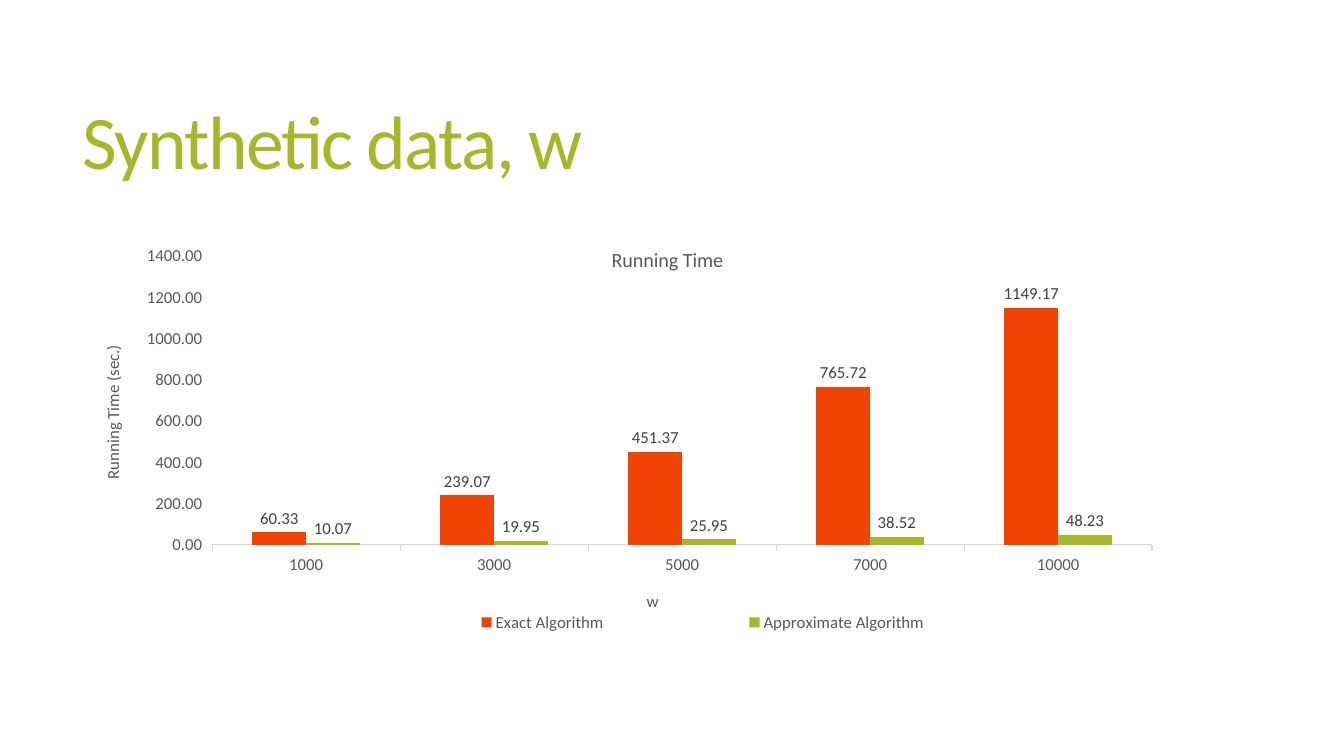
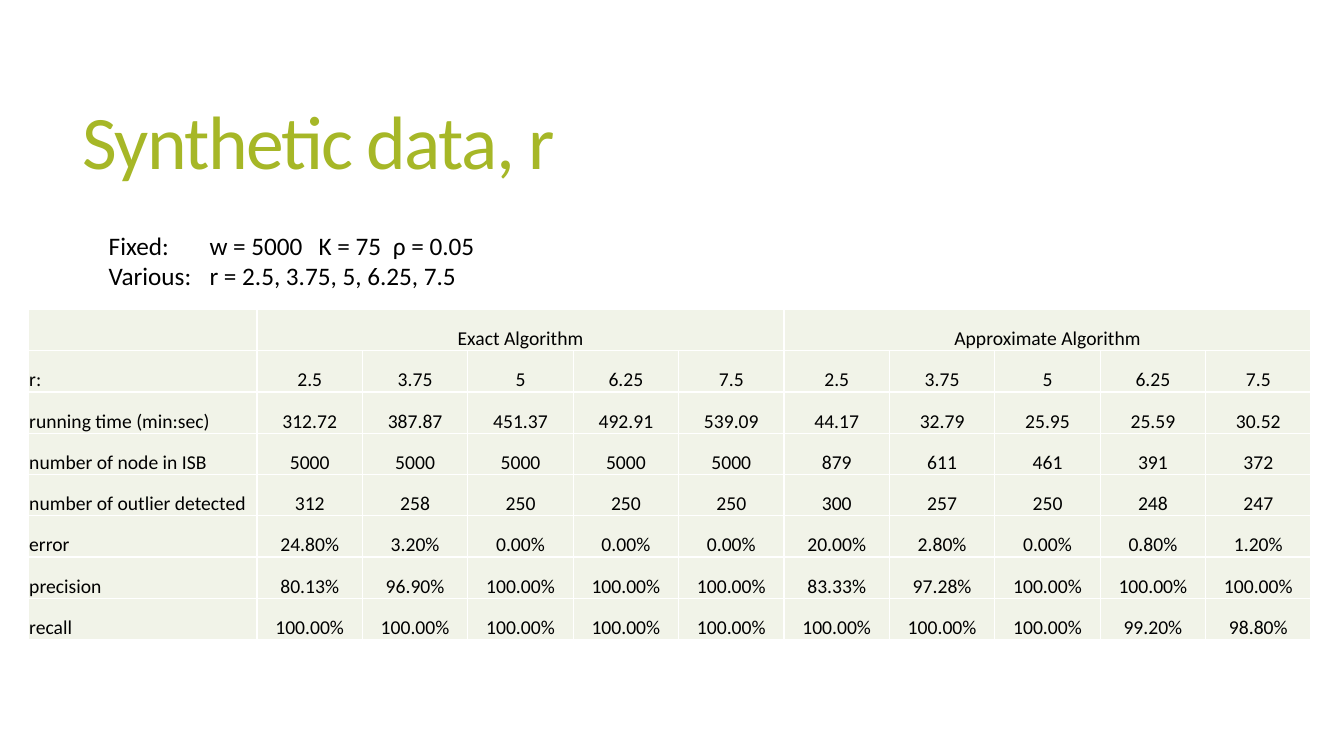
"""Build two slides on synthetic data results: a running time chart and a result table."""
from pptx import Presentation
from pptx.chart.data import CategoryChartData
from pptx.dml.color import RGBColor
from pptx.enum.chart import XL_CHART_TYPE, XL_LABEL_POSITION, XL_LEGEND_POSITION
from pptx.enum.text import MSO_ANCHOR, PP_ALIGN
from pptx.oxml import parse_xml
from pptx.oxml.ns import nsdecls, qn
from pptx.util import Pt

COLUMNS = XL_CHART_TYPE.COLUMN_CLUSTERED
OUTSIDE_END = XL_LABEL_POSITION.OUTSIDE_END
LEGEND_BOTTOM = XL_LEGEND_POSITION.BOTTOM
MIDDLE, BOTTOM = MSO_ANCHOR.MIDDLE, MSO_ANCHOR.BOTTOM
LEFT, CENTER = PP_ALIGN.LEFT, PP_ALIGN.CENTER

GREEN = RGBColor(0xA6, 0xB7, 0x27)
ORANGE = RGBColor(0xF0, 0x43, 0x04)
PALE = RGBColor(0xF1, 0xF3, 0xE8)
BLACK = RGBColor(0, 0, 0)
DARK_GRAY = RGBColor(0x40, 0x40, 0x40)
GRAY = RGBColor(0x59, 0x59, 0x59)
LIGHT_GRAY = RGBColor(0xD9, 0xD9, 0xD9)
FONT = "Calibri"
ALGORITHMS = ["Exact Algorithm", "Approximate Algorithm"]


def style(font, size, color):
    for name, value in {"name": FONT, "size": Pt(size), "bold": False}.items():
        setattr(font, name, value)
    font.color.rgb = color


def place(element, inner=False, **fractions):
    for old in element.findall(qn("c:layout")):
        element.remove(old)
    parts = '<c:layoutTarget val="inner"/>' if inner else ""
    parts += "".join(f'<c:{axis}Mode val="edge"/>' for axis in "xy")
    parts += "".join(f'<c:{key} val="{value}"/>' for key, value in fractions.items())
    layout = parse_xml(f'<c:layout {nsdecls("c")}><c:manualLayout>{parts}'
                       "</c:manualLayout></c:layout>")
    overlay = element.find(qn("c:overlay"))
    element.insert(0 if overlay is None else element.index(overlay), layout)


deck = Presentation()
deck.slide_width, deck.slide_height = Pt(960), Pt(540)

pages = []
for title in ["Synthetic data, w", "Synthetic data, r"]:
    page = deck.slides.add_slide(deck.slide_layouts[6])
    frame = page.shapes.add_textbox(Pt(52), Pt(39.6), Pt(848), Pt(130.4)).text_frame
    frame.word_wrap = True
    frame.vertical_anchor = MIDDLE
    para = frame.paragraphs[0]
    para.line_spacing = 0.85
    span = para.add_run()
    span.text = title
    style(span.font, 54, GREEN)
    span.font._element.set("spc", "-120")
    pages.append(page)
chart_page, table_page = pages

data = CategoryChartData(number_format="0.00")
data.categories = ["1000", "3000", "5000", "7000", "10000"]
TIMES = [
    [60.33, 239.07, 451.37, 765.72, 1149.17],
    [10.07, 19.95, 25.95, 38.52, 48.23],
]
for name, values in zip(ALGORITHMS, TIMES):
    data.add_series(name, values)
chart = chart_page.shapes.add_chart(
    COLUMNS, Pt(53.3), Pt(158.4), Pt(846.7), Pt(296.6), data).chart
style(chart.font, 12, BLACK)
place(chart._chartSpace.chart.plotArea, inner=True, x=0.116, y=0.083, w=0.793, h=0.695)

category_axis, value_axis = chart.category_axis, chart.value_axis
chart.has_title = True
TITLES = [
    (chart.chart_title, "Running Time", 14.4, 0.45, 0.05),
    (category_axis.axis_title, "w", 12, 0.48, 0.88),
    (value_axis.axis_title, "Running Time (sec.)", 12, 0.02, 0.29),
]
for heading, text, size, x, y in TITLES:
    span = heading.text_frame.paragraphs[0].add_run()
    span.text = text
    style(span.font, size, GRAY)
    place(heading._element, x=x, y=y)

for axis in (category_axis, value_axis):
    axis.has_major_gridlines = False
    style(axis.tick_labels.font, 12, GRAY)
category_axis.format.line.color.rgb = LIGHT_GRAY
category_axis.format.line.width = Pt(0.75)
value_axis.format.line.fill.background()
for name, value in {"minimum_scale": 0, "maximum_scale": 1400, "major_unit": 200}.items():
    setattr(value_axis, name, value)
value_axis.tick_labels.number_format = "0.00"
value_axis.tick_labels.number_format_is_linked = False

plot = chart.plots[0]
for name, value in {"gap_width": 150, "overlap": 0, "vary_by_categories": False}.items():
    setattr(plot, name, value)
LABEL_FORMAT = {
    "show_value": True,
    "position": OUTSIDE_END,
    "number_format": "0.00",
    "number_format_is_linked": False,
}
for series, color in zip(plot.series, [ORANGE, GREEN]):
    series.format.fill.solid()
    series.format.fill.fore_color.rgb = color
    style(series.data_labels.font, 12, DARK_GRAY)
    for name, value in LABEL_FORMAT.items():
        setattr(series.data_labels, name, value)

chart.has_legend = True
chart.legend.position = LEGEND_BOTTOM
chart.legend.include_in_layout = False
style(chart.legend.font, 12, GRAY)
place(chart.legend._element, x=0.225, y=0.93, w=0.61, h=0.07)

SETTINGS = [
    "\tFixed:\tw = 5000\tK = 75\tρ = 0.05",
    "\tVarious:\tr = 2.5, 3.75, 5, 6.25, 7.5",
]
frame = table_page.shapes.add_textbox(Pt(34.6), Pt(160.6), Pt(848), Pt(51)).text_frame
frame.word_wrap = True
for index, text in enumerate(SETTINGS):
    para = frame.add_paragraph() if index else frame.paragraphs[0]
    stops = "".join(f'<a:tab pos="{Pt(stop)}" algn="l"/>' for stop in (36, 108, 186, 239))
    para._p.get_or_add_pPr().append(
        parse_xml(f'<a:tabLst {nsdecls("a")}>{stops}</a:tabLst>'))
    span = para.add_run()
    span.text = text
    style(span.font, 18, BLACK)

RADII = ["2.5", "3.75", "5", "6.25", "7.5"]
ROWS = [
    ["", ALGORITHMS[0], "", "", "", "", ALGORITHMS[1], "", "", "", ""],
    ["r:"] + RADII * 2,
    ["running time (min:sec)", "312.72", "387.87", "451.37", "492.91", "539.09",
     "44.17", "32.79", "25.95", "25.59", "30.52"],
    ["number of node in ISB"] + ["5000"] * 5 + ["879", "611", "461", "391", "372"],
    ["number of outlier detected", "312", "258", "250", "250", "250",
     "300", "257", "250", "248", "247"],
    ["error", "24.80%", "3.20%", "0.00%", "0.00%", "0.00%",
     "20.00%", "2.80%", "0.00%", "0.80%", "1.20%"],
    ["precision", "80.13%", "96.90%", "100.00%", "100.00%", "100.00%",
     "83.33%", "97.28%", "100.00%", "100.00%", "100.00%"],
    ["recall"] + ["100.00%"] * 8 + ["99.20%", "98.80%"],
]
CELL_FORMAT = {
    "vertical_anchor": BOTTOM,
    "margin_left": Pt(0.7),
    "margin_top": Pt(0.7),
    "margin_right": Pt(0.7),
    "margin_bottom": Pt(0),
}
table = table_page.shapes.add_table(
    len(ROWS), len(ROWS[0]), Pt(20.2), Pt(221), Pt(916.4), Pt(236)).table
table.first_row = table.horz_banding = False
for index, column in enumerate(table.columns):
    column.width = Pt(75.3 if index else 163.4)
for row in table.rows:
    row.height = Pt(29.5)
for start in (1, 6):
    table.cell(0, start).merge(table.cell(0, start + 4))

for row_index, values in enumerate(ROWS):
    for column_index, text in enumerate(values):
        cell = table.cell(row_index, column_index)
        for name, value in CELL_FORMAT.items():
            setattr(cell, name, value)
        cell.fill.solid()
        cell.fill.fore_color.rgb = PALE
        for position, side in enumerate("LRTB"):
            cell._tc.get_or_add_tcPr().insert(position, parse_xml(
                f'<a:ln{side} {nsdecls("a")} w="{Pt(1)}"><a:solidFill>'
                f'<a:srgbClr val="FFFFFF"/></a:solidFill></a:ln{side}>'))
        if text:
            para = cell.text_frame.paragraphs[0]
            para.alignment = CENTER if column_index else LEFT
            span = para.add_run()
            span.text = text
            style(span.font, 14, BLACK)

deck.save("out.pptx")
